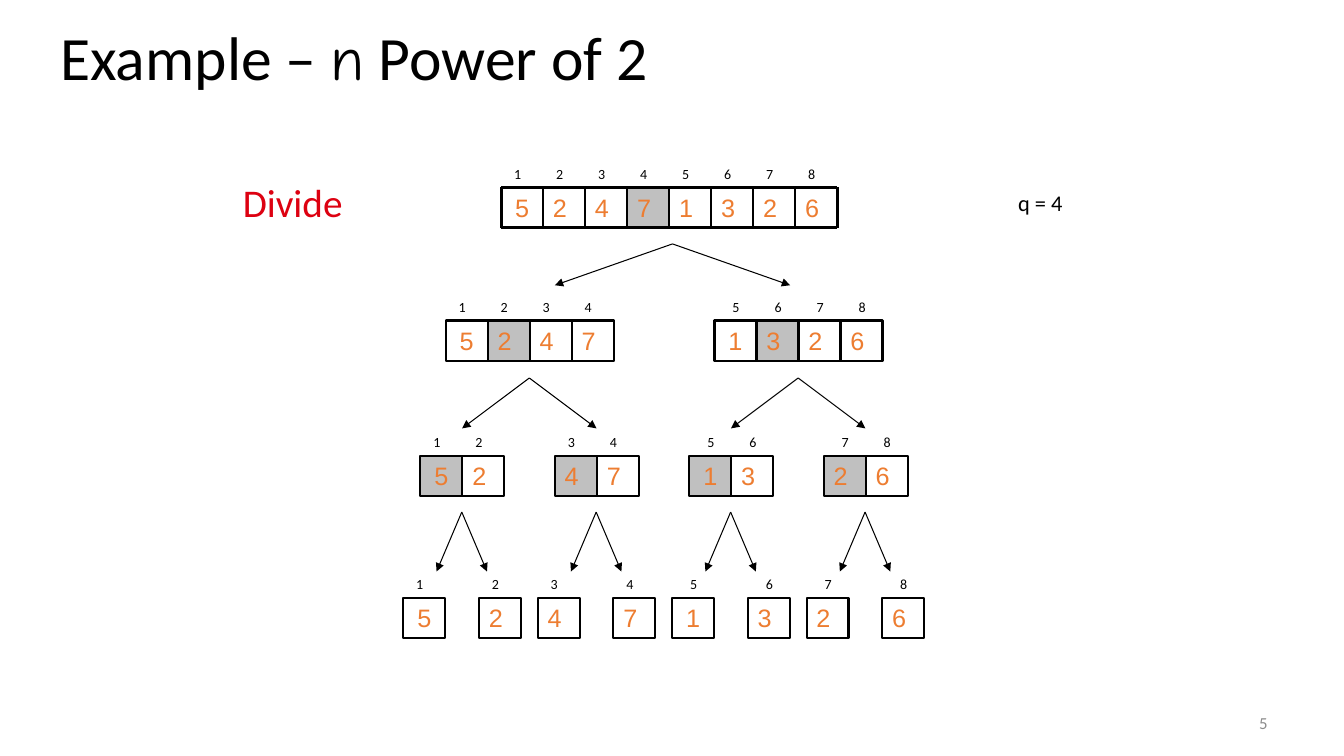
from lxml import etree
from pptx import Presentation
from pptx.dml.color import RGBColor
from pptx.enum.shapes import MSO_CONNECTOR, MSO_SHAPE
from pptx.enum.text import MSO_ANCHOR as ANCHOR, PP_ALIGN as ALIGN
from pptx.oxml.ns import qn
from pptx.util import Inches, Pt

BLACK, GREY, ORANGE, RED = "000000", "C0C0C0", "ED7D31", "DD0111"
PAGE_GREY = "8C8C8C"

VALUES = [5, 2, 4, 7, 1, 3, 2, 6]
CELL_W, CELL_H = 5 / 12, 0.4
LABEL_W, LABEL_H = 0.25, 0.27
PAIR_STEP = 4 / 3  # distance between neighbouring subtrees

# Per level: top of the cells, left edges of the arrays
LEVELS = [
    (1.86, [4.97]),
    (3.18, [4.42 + 2 * PAIR_STEP * i for i in range(2)]),
    (4.52, [4.17 + PAIR_STEP * i for i in range(4)]),
    (5.93, [4 + PAIR_STEP * i + side for i in range(4) for side in (0, 0.75)]),
]
# Per split: apex height, arrow end height, half spread, apex positions
SPLITS = [
    (2.42, 2.83, 3.5 / 3, [6.67]),
    (3.75, 4.25, 2 / 3, [5.25 + 2 * PAIR_STEP * i for i in range(2)]),
    (5.08, 5.67, 0.25, [4.58 + PAIR_STEP * i for i in range(4)]),
]


def color(hex_code):
    return RGBColor.from_string(hex_code)


def write(holder, text, size=18, font="Calibri", fill=BLACK, align=ALIGN.LEFT,
          anchor=ANCHOR.TOP, wrap=True, before=0, spacing=None):
    """Text is a string, or a list of (string, font) pairs."""
    frame = holder.text_frame
    frame.word_wrap = wrap
    frame.vertical_anchor = anchor
    paragraph = frame.paragraphs[0]
    paragraph.alignment = align
    if before:
        paragraph.space_before = Pt(before)
    if spacing:
        paragraph.line_spacing = spacing
    for words, face in ([(text, font)] if isinstance(text, str) else text):
        run = paragraph.add_run()
        run.text = words
        run.font.size = Pt(size)
        run.font.name = face
        run.font.color.rgb = color(fill)


def add_text(shapes, box, text, **style):
    write(shapes.add_textbox(*map(Inches, box)), text, **style)


def add_line(shapes, start, end, width, arrow=False):
    line = shapes.add_connector(MSO_CONNECTOR.STRAIGHT, *map(Inches, start + end))
    line.line.color.rgb = color(BLACK)
    line.line.width = Pt(width)
    if arrow:
        etree.SubElement(line.line._get_or_add_ln(), qn("a:tailEnd"), type="triangle")
    etree.SubElement(line._element.spPr, qn("a:effectLst"))


def add_cell(shapes, left, top, value, shaded, centred, border):
    cell = shapes.add_shape(MSO_SHAPE.RECTANGLE,
                            *map(Inches, (left, top, CELL_W, CELL_H)))
    cell.shadow.inherit = False
    if shaded:
        cell.fill.solid()
        cell.fill.fore_color.rgb = color(GREY)
    else:
        cell.fill.background()
    if border:
        cell.line.color.rgb = color(BLACK)
        cell.line.width = Pt(border)
    else:
        cell.line.fill.background()
    write(cell, str(value), font="Arial", fill=ORANGE, before=3.6,
          align=ALIGN.CENTER if centred else ALIGN.LEFT, anchor=ANCHOR.MIDDLE)


def add_array(shapes, left, top, first, size):
    """One run of cells with its index labels above."""
    whole = size == len(VALUES)
    label_shift = 0.08 if first >= len(VALUES) / 2 else 0.03
    for i in range(size):
        index, x = first + i, left + i * CELL_W
        add_text(shapes, (x + label_shift, top - LABEL_H, LABEL_W, LABEL_H),
                 str(index + 1), size=10)
        add_cell(shapes, x, top, VALUES[index], shaded=i == size // 2 - 1,
                 centred=i == 0 and first % 4 == 0, border=0 if whole else 1.5)
    if whole:
        add_frame(shapes, left, top, size)


def add_frame(shapes, left, top, size):
    """Heavy outline with thin dividers."""
    right, bottom = left + size * CELL_W, top + CELL_H
    for y in (top, bottom):
        add_line(shapes, (left, y), (right, y), 2.25)
    for i in range(size + 1):
        x = left + i * CELL_W
        add_line(shapes, (x, top), (x, bottom), 2.25 if i in (0, size) else 1)


def add_split(shapes, apex_y, end_y, spread, apexes):
    for x in apexes:
        for side in (-1, 1):
            add_line(shapes, (x, apex_y), (x + side * spread, end_y), 0.75, arrow=True)


def add_tree(slide):
    for depth, (top, lefts) in enumerate(LEVELS):
        level = slide.shapes.add_group_shape().shapes
        size = len(VALUES) // len(lefts)
        for i, left in enumerate(lefts):
            add_array(level, left, top, i * size, size)
        if depth:
            add_split(level, *SPLITS[depth - 1])


def add_captions(slide):
    shapes = slide.shapes
    add_text(shapes, (0.5, 0.11, 12, 0.99),
             [("Example – ", "Calibri"), ("n", "Comic Neue"), (" Power of 2", "Calibri")],
             size=44, anchor=ANCHOR.MIDDLE, spacing=0.9)
    add_text(shapes, (2.31, 1.72, 1.2, 0.57), "Divide", size=28, fill=RED, wrap=False)
    add_text(shapes, (10, 1.83, 1.08, 0.37), "q = 4", size=16)
    add_text(shapes, (9.56, 7, 3.11, 0.35), "5", size=12, fill=PAGE_GREY,
             align=ALIGN.RIGHT, anchor=ANCHOR.MIDDLE)


def main():
    deck = Presentation()
    deck.slide_width, deck.slide_height = Inches(13.33), Inches(7.5)
    slide = deck.slides.add_slide(deck.slide_layouts[6])
    add_captions(slide)
    add_tree(slide)
    deck.save("out.pptx")


if __name__ == "__main__":
    main()
